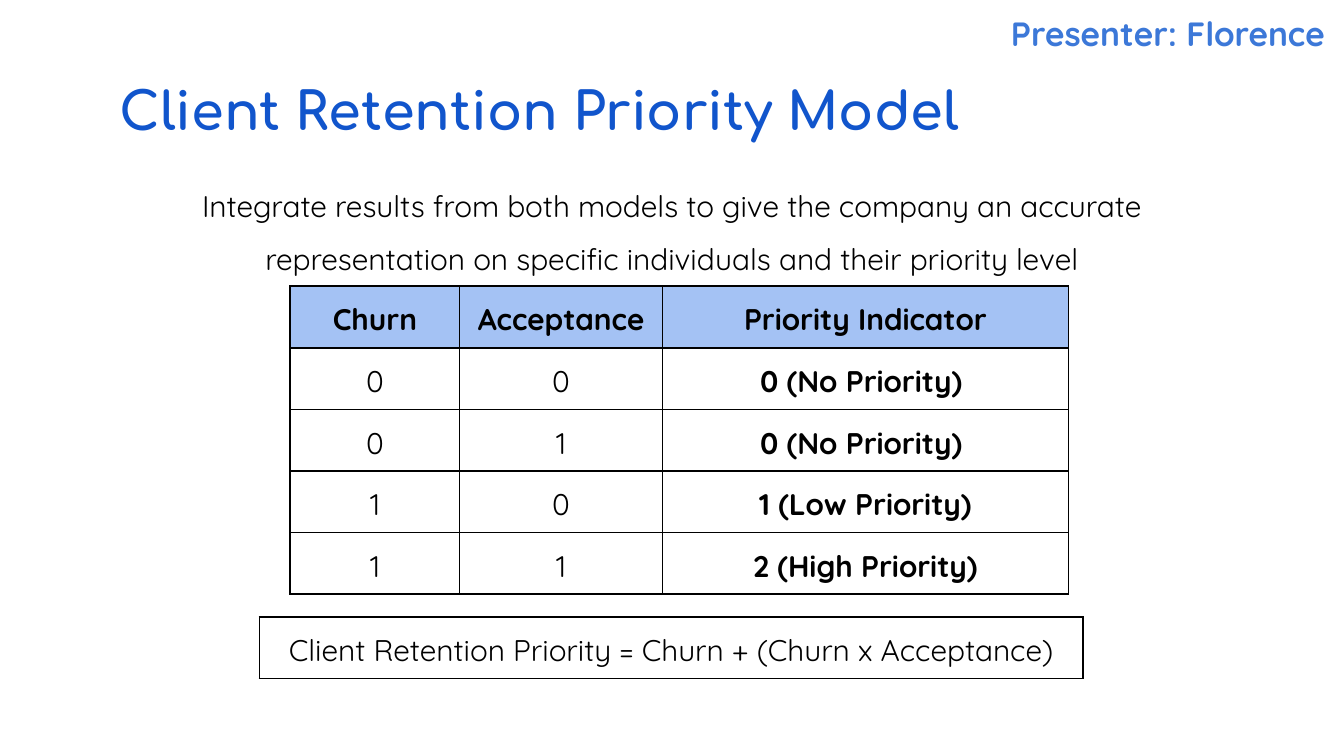
from dataclasses import dataclass

from lxml.etree import SubElement
from pptx import Presentation
from pptx.dml.color import RGBColor
from pptx.enum.text import MSO_ANCHOR, MSO_AUTO_SIZE, PP_ALIGN
from pptx.oxml.ns import qn
from pptx.slide import Slide
from pptx.table import _Cell
from pptx.util import Inches, Pt

COLORS = {
    "title": "1155CC",
    "presenter": "3C78D8",
    "header": "A4C2F4",
    "text": "000000",
    "border": "000000",
    "cell": "FFFFFF",
}
SLIDE_WIDTH = 10
ROW_HEIGHT = 0.42


@dataclass
class TextStyle:
    size: float
    color: str = "text"
    font: str = "Quicksand"
    bold: bool = False
    align: PP_ALIGN = PP_ALIGN.CENTER
    spacing: float = 1.0
    after: float = 0


@dataclass
class TableSpec:
    left: float
    top: float
    widths: list[float]
    rows: list[list[str]]
    has_header: bool = False
    bold_column: int | None = None
    anchor: MSO_ANCHOR = MSO_ANCHOR.TOP


def write(tf, text: str, style: TextStyle) -> None:
    tf.text = text
    p = tf.paragraphs[0]
    p.alignment = style.align
    p.line_spacing = style.spacing
    p.space_before = Pt(0)
    p.space_after = Pt(style.after)
    p.font.size = Pt(style.size)
    p.font.name = style.font
    p.font.bold = style.bold
    p.font.color.rgb = RGBColor.from_string(COLORS[style.color])


def fill_box(sp, box: tuple[float, ...], text: str, style: TextStyle) -> None:
    sp.left, sp.top, sp.width, sp.height = map(Inches, box)
    tf = sp.text_frame
    tf.word_wrap = True
    tf.auto_size = MSO_AUTO_SIZE.NONE
    tf.vertical_anchor = MSO_ANCHOR.TOP
    tf.margin_left = tf.margin_right = tf.margin_top = tf.margin_bottom = Inches(0.1)
    write(tf, text, style)


def add_borders(cell: _Cell) -> None:
    tc_pr = cell._tc.get_or_add_tcPr()
    for side in ("a:lnL", "a:lnR", "a:lnT", "a:lnB"):
        ln = SubElement(tc_pr, qn(side), w=str(Pt(1)))
        solid = SubElement(ln, qn("a:solidFill"))
        SubElement(solid, qn("a:srgbClr"), val=COLORS["border"])


def add_grid(s: Slide, spec: TableSpec) -> None:
    n_rows, n_cols = len(spec.rows), len(spec.widths)
    table = s.shapes.add_table(
        n_rows, n_cols, Inches(spec.left), Inches(spec.top),
        Inches(sum(spec.widths)), Inches(ROW_HEIGHT * n_rows),
    ).table
    table.first_row = table.horz_banding = False
    for column, width in zip(table.columns, spec.widths):
        column.width = Inches(width)
    for i, row in enumerate(spec.rows):
        for j, text in enumerate(row):
            cell = table.cell(i, j)
            header = spec.has_header and i == 0
            add_borders(cell)
            cell.fill.solid()
            cell.fill.fore_color.rgb = RGBColor.from_string(COLORS["header" if header else "cell"])
            cell.margin_left = cell.margin_right = Inches(0.07)
            cell.margin_top = cell.margin_bottom = Inches(0.07)
            cell.vertical_anchor = spec.anchor
            bold = header or j == spec.bold_column
            write(cell.text_frame, text, TextStyle(16, bold=bold, spacing=1.15))


def main() -> None:
    """Build the client retention priority slide."""
    prs = Presentation()
    prs.slide_width, prs.slide_height = Inches(SLIDE_WIDTH), Inches(SLIDE_WIDTH * 9 / 16)
    s = prs.slides.add_slide(prs.slide_layouts[0])

    fill_box(s.shapes.title, (0.79, 0.48, 7.69, 0.82), "Client Retention Priority Model",
             TextStyle(28, "title", "Comfortaa", bold=True, align=PP_ALIGN.LEFT))
    fill_box(s.placeholders[1], (1.02, 1.16, 7.96, 0.77),
             "Integrate results from both models to give the company an accurate "
             "representation on specific individuals and their priority level",
             TextStyle(16, spacing=1.5, after=10))

    add_grid(s, TableSpec(1.93, 4.59, [6.13],
                          [["Client Retention Priority = Churn + (Churn x Acceptance)"]],
                          anchor=MSO_ANCHOR.MIDDLE))
    add_grid(s, TableSpec(2.16, 2.13, [1.26, 1.51, 3.02], [
        ["Churn", "Acceptance", "Priority Indicator"],
        ["0", "0", "0 (No Priority) "],
        ["0", "1", "0 (No Priority) "],
        ["1", "0", "1 (Low Priority)"],
        ["1", "1", "2 (High Priority)"],
    ], has_header=True, bold_column=2))

    presenter = s.shapes.add_textbox(0, 0, 0, 0)
    fill_box(presenter, (7.38, 0, 2.62, 0.53), "Presenter: Florence",
             TextStyle(18, "presenter", bold=True))
    prs.save("out.pptx")


if __name__ == "__main__":
    main()
